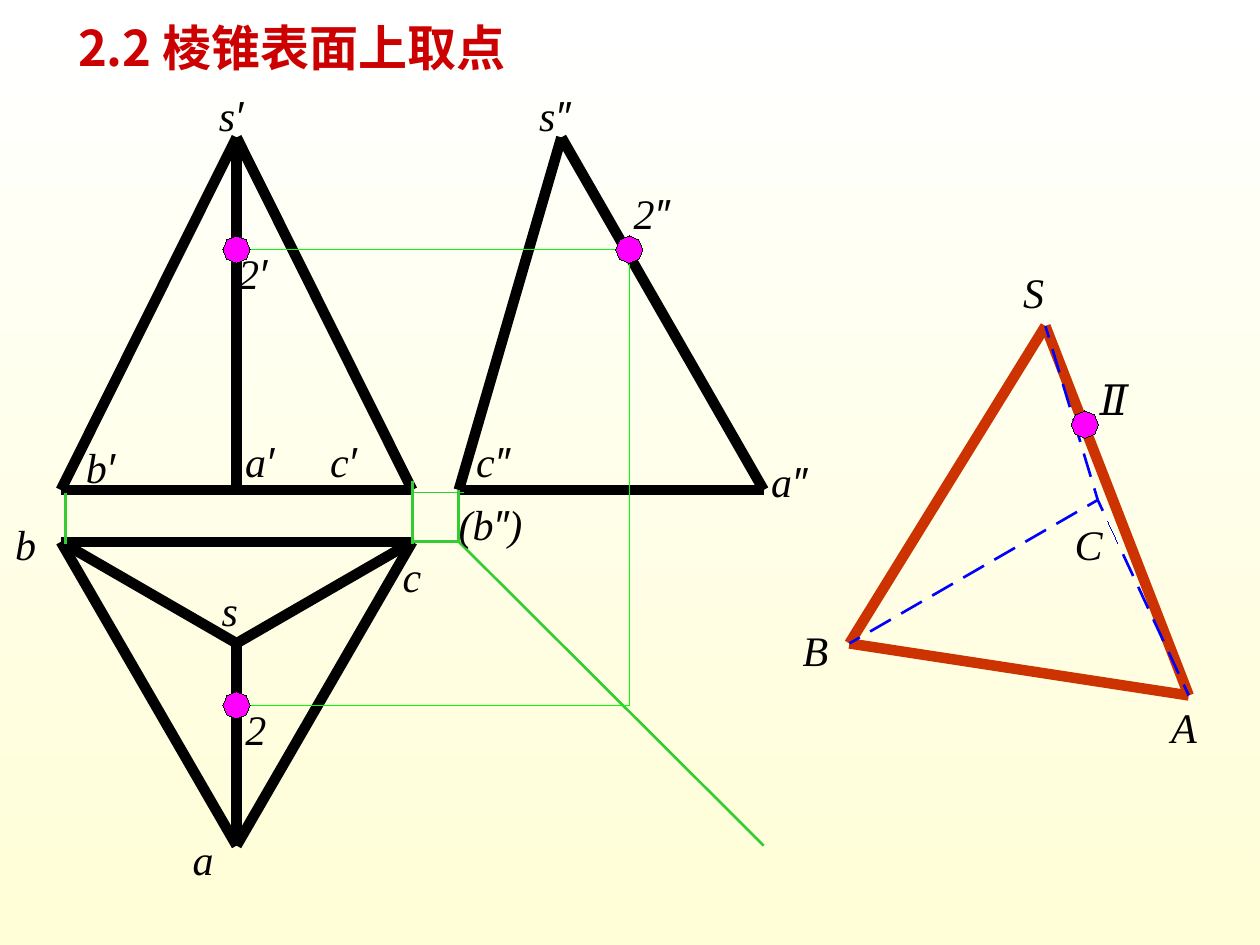
from math import cos, pi, sin

from lxml import etree
from pptx import Presentation
from pptx.dml.color import RGBColor
from pptx.enum.shapes import MSO_CONNECTOR
from pptx.enum.text import PP_ALIGN
from pptx.oxml.ns import qn
from pptx.util import Pt

STRAIGHT = MSO_CONNECTOR.STRAIGHT
CENTER = PP_ALIGN.CENTER
LEFT = PP_ALIGN.LEFT
BLACK, GREEN, BLUE, RUST = "000000", "33CC33", "0000FF", "CC3300"
HAIR = 0.01
LABEL = {"name": "Times New Roman", "size": Pt(24), "italic": True}
PRIME = {**LABEL, "name": "Arial"}
TITLE = {"name": "Noto Sans CJK SC", "size": Pt(28), "bold": True}

FRONT = {"s": (135.2, 78.5), "a": (135.2, 280), "b": (34.8, 280), "c": (235.6, 280)}
TOP = {"s": (135.2, 367.6), "a": (135.2, 483.2), "b": (34.8, 309.6), "c": (235.6, 309.6)}
SIDE = {"s": (320.8, 78.5), "a": (436.4, 280), "c": (262.2, 280)}
SOLID = {"S": (597.4, 186.3), "A": (679.3, 397.4), "B": (485.4, 367.7), "C": (627.3, 285.7)}
VIEWS = [
    (FRONT, "bs cs bc as", BLACK),
    (TOP, "ab ac as bs bc cs", BLACK),
    (SIDE, "as cs ac", BLACK),
    (SOLID, "AB AS BS", RUST),
]
HIDDEN = [("CA", 6, 1), ("BC", 8, None), ("CS", 5, None)]
FOLD = (262.2, 309.6)
GUIDES = [
    (TOP["c"], FOLD, 1.5),
    (SIDE["c"], FOLD, 1.5),
    (FOLD, (436.4, 483.2), 1.5),
    ((37.3, 281.5), (37.3, 311), 1.5),
    ((235.6, 275), (235.6, 311), 1.5),
    ((235.6, 281.5), (265, 281.5), 0.75),
]
P1, P2, P3, P4 = (135.2, 142.6), (359.6, 142.6), (135.2, 403), (620, 242.6)
TURN = (359.6, 403)
LABELS = [
    ("s", 119.5, 330.5, 48), ("(b″)", 255, 281.5, 72), ("s′", 118, 47.5, 78),
    ("a′", 133, 245.5, 42), ("B", 451.5, 353.5, 54), ("a", 103, 473, 30),
    ("c′", 181.5, 245.5, 48), ("b′", 42, 248.5, 48), ("c″", 265, 245.5, 60),
    ("c", 223, 311, 48), ("s″", 301, 47.5, 54), ("b", 1.5, 293, 48),
    ("C", 607, 293, 54), ("S", 577.5, 149, 54), ("a″", 433.5, 257, 54),
    ("2″", 355, 103.7, 66), ("2′", 129, 138.2, 66), ("2", 133.2, 398.2, 66),
    ("Ⅱ", 621.4, 210.2, 66),
]


def color(code):
    """Turn a hex string into a colour."""
    return RGBColor.from_string(code)


def line(slide, start, end, code, width):
    """Draw a plain straight line."""
    item = slide.shapes.add_connector(STRAIGHT, *(Pt(v) for v in (*start, *end)))
    item.line.color.rgb = color(code)
    item.line.width = Pt(width)
    etree.SubElement(item._element.spPr, qn("a:effectLst"))


def dash(slide, start, end, count, thin):
    """Draw a hidden edge as dashes centred on equal steps."""
    def spot(part):
        return tuple(p + (q - p) * part for p, q in zip(start, end))

    for step in range(count + 1):
        head = max(0, (step - 1 / 3) / count)
        tail = min(1, (step + 1 / 3) / count)
        line(slide, spot(head), spot(tail), BLUE, HAIR if step == thin else 1.5)


def mark(slide, x, y, size=7.8):
    """Draw an eight-sided point marker."""
    spots = [(Pt(x + size * cos(k * pi / 4)), Pt(y + size * sin(k * pi / 4))) for k in range(8)]
    pen = slide.shapes.build_freeform(*spots[0])
    pen.add_line_segments(spots[1:])
    item = pen.convert_to_shape()
    item.shadow.inherit = False
    item.fill.solid()
    item.fill.fore_color.rgb = color("FF00FF")
    item.line.color.rgb = color(BLACK)
    item.line.width = Pt(HAIR)


def write(slide, runs, box, code, align=LEFT, space=None):
    """Add a text box of (text, format) runs."""
    frame = slide.shapes.add_textbox(*(Pt(v) for v in box)).text_frame
    frame.word_wrap = True
    para = frame.paragraphs[0]
    para.alignment = align
    para.line_spacing = space
    for text, form in runs:
        run = para.add_run()
        run.text = text
        for key, value in form.items():
            setattr(run.font, key, value)
        run.font.color.rgb = color(code)
        east = etree.SubElement(run.font._element, qn("a:ea"))
        east.set("typeface", form["name"])


def label(slide, text, left, top, width):
    """Name a point, with its prime marks in their own font."""
    runs = [(sign, PRIME if sign in "′″" else LABEL) for sign in text]
    write(slide, runs, (left, top, width, 36), BLACK)


def paint(slide):
    """Fill the background from white down to cream."""
    fill = slide.background.fill
    fill.gradient()
    fill.gradient_angle = 270
    for stop, place, code in zip(fill.gradient_stops, (0, 1), ("FFFFFF", "FFFED6")):
        stop.position = place
        stop.color.rgb = color(code)


def main():
    """Build the slide and save it."""
    deck = Presentation()
    deck.slide_width, deck.slide_height = Pt(720), Pt(540)
    slide = deck.slides.add_slide(deck.slide_layouts[6])
    paint(slide)
    for view, edges, code in VIEWS:
        for start, end in edges.split():
            line(slide, view[start], view[end], code, 6)
    for (start, end), count, thin in HIDDEN:
        dash(slide, SOLID[start], SOLID[end], count, thin)
    for start, end, width in GUIDES:
        line(slide, start, end, GREEN, width)
    for start, end in ((P1, P2), (P2, TURN), (TURN, P3)):
        line(slide, start, end, "00FF00", HAIR)
    for spot in (P1, P2, P3, P4):
        mark(slide, *spot)
    for item in LABELS:
        label(slide, *item)
    write(slide, [("A", LABEL)], (649.5, 407.5, 54, 24.5), BLACK, CENTER, 0.6)
    write(slide, [("2.2 棱锥表面上取点", TITLE)], (37.5, 6.5, 370, 41), "CC0000")
    deck.save("out.pptx")


if __name__ == "__main__":
    main()
